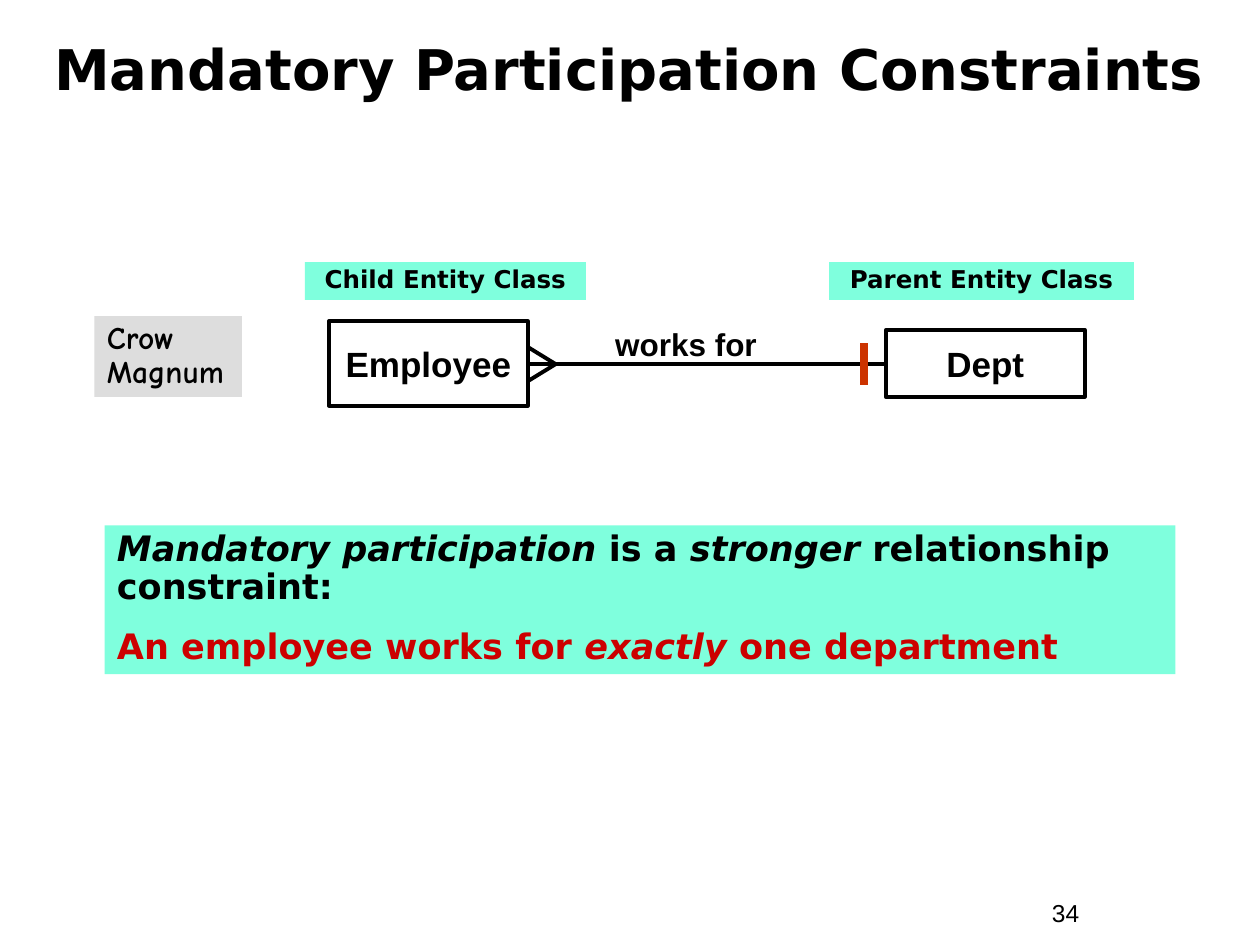
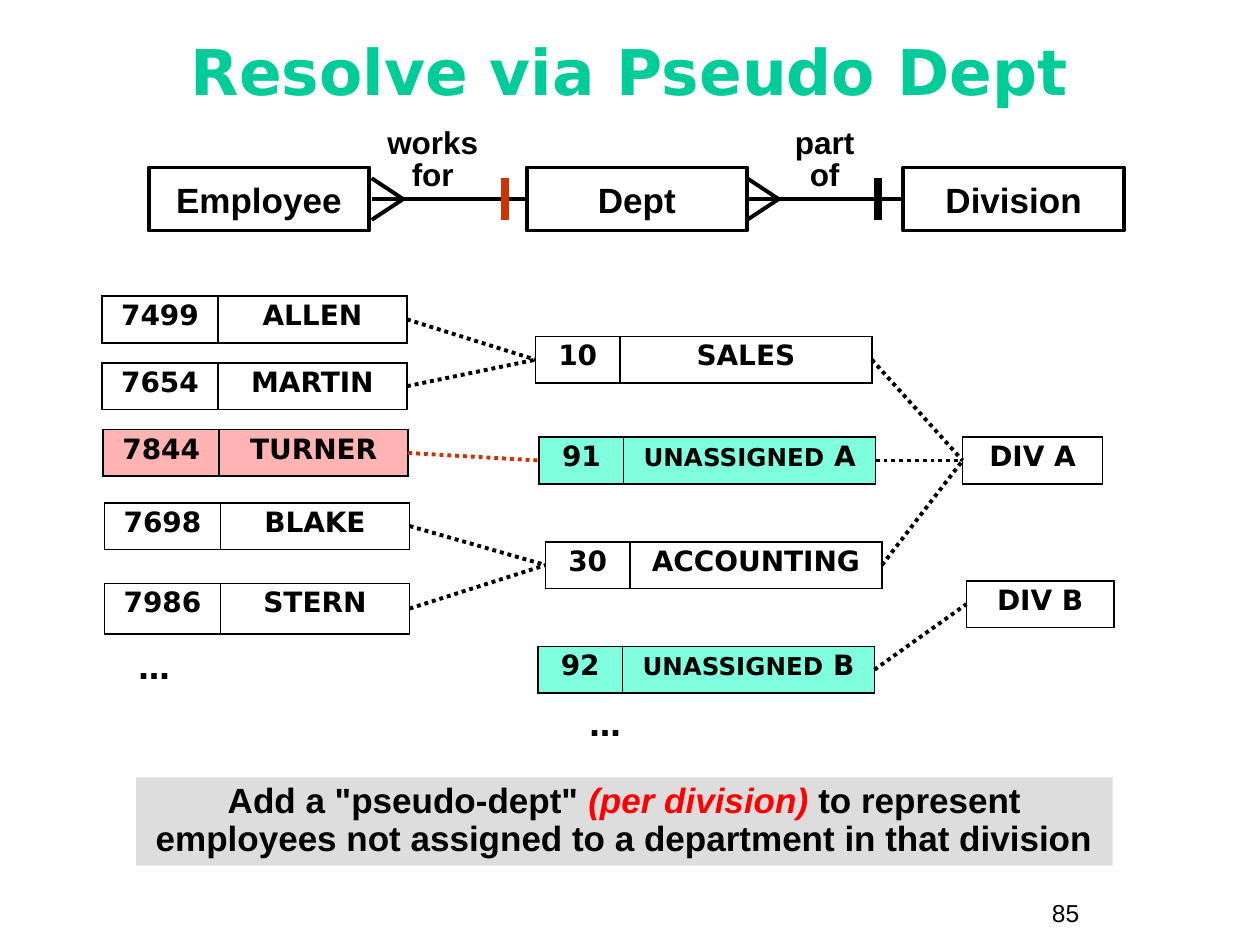
from dataclasses import dataclass
from typing import NamedTuple

from lxml import etree
from pptx import Presentation
from pptx.dml.color import RGBColor
from pptx.enum.dml import MSO_LINE
from pptx.enum.shapes import MSO_CONNECTOR, MSO_SHAPE
from pptx.enum.text import MSO_ANCHOR, PP_ALIGN
from pptx.oxml.ns import qn
from pptx.util import Inches, Pt

LEFT, CENTER = PP_ALIGN.LEFT, PP_ALIGN.CENTER
TOP, MIDDLE = MSO_ANCHOR.TOP, MSO_ANCHOR.MIDDLE
STRAIGHT = MSO_CONNECTOR.STRAIGHT
RECTANGLE = MSO_SHAPE.RECTANGLE
DOTTED = MSO_LINE.ROUND_DOT

BLACK = "000000"
AQUA = "7FFFDD"
GREY = "DDDDDD"
PINK = "FFB3B3"
GREEN = "00CC99"
RUST = "CC3300"
CRIMSON = "CC0000"
RED = "FF0000"

SANS = "Arial"
WIDE = "DejaVu Sans"
COMIC = "Comic Neue"

LINE_WIDTH = 2.25
BAR_WIDTH = 4.5
BAR_REACH = 0.165
CELL_BORDER = 1.08


class Area(NamedTuple):
    left: float
    top: float
    width: float
    height: float


class Point(NamedTuple):
    x: float
    y: float


@dataclass(frozen=True)
class Span:
    text: str
    color: str = BLACK
    italic: bool = False
    size: float | None = None


@dataclass(frozen=True)
class Style:
    font: str
    size: float
    bold: bool = True
    align: PP_ALIGN = CENTER
    line_spacing: float = 1.0
    gap: float = 0


@dataclass(frozen=True)
class Entity:
    name: str
    area: Area


@dataclass(frozen=True)
class Relation:
    foot: float
    tip: float
    end: float
    y: float
    spread: float
    bar: float
    bar_color: str


@dataclass(frozen=True)
class Record:
    left: float
    top: float
    widths: tuple[float, ...]
    cells: tuple[list[Span], ...]
    fill: str | None = None
    height: float = 0.37

    @property
    def entry(self) -> Point:
        return Point(self.left, self.top + self.height / 2)

    @property
    def exit(self) -> Point:
        return Point(self.left + sum(self.widths), self.entry.y)


PAGE_NUMBER = Style(SANS, 14, bold=False, align=LEFT)
ENTITY_NAME = Style(SANS, 20)
RELATION_NAME = Style(SANS, 18, line_spacing=0.85)
ROLE = Style(WIDE, 14, line_spacing=0.85)
NOTATION = Style(COMIC, 18, align=LEFT, line_spacing=0.9)
RULE = Style(WIDE, 20, align=LEFT, line_spacing=0.9, gap=12.5)
CELL = Style(WIDE, 16, line_spacing=0.9)
ELLIPSIS = Style(WIDE, 18, align=LEFT, line_spacing=0.9)
ADVICE = Style(SANS, 20, line_spacing=0.9)


def color_of(value: str) -> RGBColor:
    return RGBColor.from_string(value)


def write(frame, paragraphs: list[list[Span]], style: Style) -> None:
    for index, spans in enumerate(paragraphs):
        para = frame.add_paragraph() if index else frame.paragraphs[0]
        para.alignment = style.align
        para.line_spacing = style.line_spacing
        if index:
            para.space_before = Pt(style.gap)
        for span in spans:
            for row, words in enumerate(span.text.split("\n")):
                if row:
                    para.add_line_break()
                run = para.add_run()
                run.text = words
                run.font.name = style.font
                run.font.size = Pt(span.size or style.size)
                run.font.bold = style.bold
                run.font.italic = span.italic
                run.font.color.rgb = color_of(span.color)


def add_text(page, area: Area, text: str, style: Style,
             color: str = BLACK, anchor: MSO_ANCHOR = TOP) -> None:
    box = page.shapes.add_textbox(*map(Inches, area))
    box.text_frame.word_wrap = True
    box.text_frame.vertical_anchor = anchor
    write(box.text_frame, [[Span(text, color)]], style)


def add_box(page, area: Area, paragraphs: list[list[Span]], style: Style,
            fill: str | None = None) -> None:
    box = page.shapes.add_shape(RECTANGLE, *map(Inches, area))
    box.shadow.inherit = False
    if fill:
        box.fill.solid()
        box.fill.fore_color.rgb = color_of(fill)
        box.line.fill.background()
    else:
        box.fill.background()
        box.line.color.rgb = color_of(BLACK)
        box.line.width = Pt(LINE_WIDTH)
    box.text_frame.word_wrap = fill is not None
    box.text_frame.vertical_anchor = TOP if fill else MIDDLE
    write(box.text_frame, paragraphs, style)


def add_line(page, start: Point, end: Point, color: str = BLACK,
             width: float = LINE_WIDTH, dash: MSO_LINE | None = None) -> None:
    line = page.shapes.add_connector(STRAIGHT, *map(Inches, (*start, *end)))
    line.line.color.rgb = color_of(color)
    line.line.width = Pt(width)
    if dash:
        line.line.dash_style = dash
    etree.SubElement(line._element.spPr, qn("a:effectLst"))


def add_relation(page, relation: Relation) -> None:
    y = relation.y
    tip = Point(relation.tip, y)
    add_line(page, Point(relation.foot, y), Point(relation.end, y))
    for toe in (y - relation.spread, y + relation.spread):
        add_line(page, tip, Point(relation.foot, toe))
    add_line(page, Point(relation.bar, y - BAR_REACH),
             Point(relation.bar, y + BAR_REACH), relation.bar_color, BAR_WIDTH)


def add_borders(cell) -> None:
    properties = cell._tc.get_or_add_tcPr()
    for index, side in enumerate(("a:lnL", "a:lnR", "a:lnT", "a:lnB")):
        border = etree.Element(qn(side), w=str(int(Pt(CELL_BORDER))))
        fill = etree.SubElement(border, qn("a:solidFill"))
        etree.SubElement(fill, qn("a:srgbClr"), val=BLACK)
        properties.insert(index, border)


def add_record(page, record: Record) -> None:
    area = Area(record.left, record.top, sum(record.widths), record.height)
    table = page.shapes.add_table(1, len(record.cells), *map(Inches, area)).table
    table.first_row = False
    table.horz_banding = False
    for index, (width, spans) in enumerate(zip(record.widths, record.cells)):
        table.columns[index].width = Inches(width)
        cell = table.cell(0, index)
        if record.fill:
            cell.fill.solid()
            cell.fill.fore_color.rgb = color_of(record.fill)
        else:
            cell.fill.background()
        add_borders(cell)
        write(cell.text_frame, [spans], CELL)


def add_page(deck, title: str, area: Area, size: float, color: str, number: int):
    page = deck.slides.add_slide(deck.slide_layouts[6])
    add_text(page, Area(8.25, 7.08, 0.92, 0.34), str(number), PAGE_NUMBER)
    add_text(page, area, title, Style(WIDE, size), color, MIDDLE)
    return page


def add_entities(page, entities: list[Entity]) -> None:
    for entity in entities:
        add_box(page, entity.area, [[Span(entity.name)]], ENTITY_NAME)


def employee(left: float, top: float, number: str, name: str,
             fill: str | None = None, height: float = 0.37) -> Record:
    return Record(left, top, (0.92, 1.5), ([Span(number)], [Span(name)]), fill, height)


def department(left: float, top: float, number: str, name: list[Span],
               fill: str | None = None) -> Record:
    return Record(left, top, (0.67, 2), ([Span(number)], name), fill)


def unassigned(left: float, top: float, number: str, division: str) -> Record:
    name = [Span("UNASSIGNED", size=14), Span(f" {division}")]
    return department(left, top, number, name, AQUA)


def build_participation(deck) -> None:
    page = add_page(deck, "Mandatory Participation Constraints",
                    Area(0.33, 0.08, 9.33, 0.92), 32, BLACK, 34)
    add_entities(page, [Entity("Dept", Area(7.03, 2.62, 1.58, 0.53)),
                        Entity("Employee", Area(2.61, 2.55, 1.58, 0.67))])
    add_relation(page, Relation(4.19, 4.41, 7.03, 2.89, 0.135, 6.86, RUST))
    add_text(page, Area(4.61, 2.53, 1.67, 0.4), "works for", Style(SANS, 18))
    for role, left, width in (("Child", 2.42, 2.23), ("Parent", 6.58, 2.42)):
        add_box(page, Area(left, 2.08, width, 0.3),
                [[Span(f"{role} Entity Class")]], ROLE, AQUA)
    add_box(page, Area(0.75, 2.51, 1.17, 0.64), [[Span("Crow\nMagnum")]], NOTATION, GREY)
    add_box(page, Area(0.83, 4.17, 8.5, 1.18), [
        [Span("Mandatory participation", italic=True), Span(" is a "),
         Span("stronger", italic=True), Span(" relationship constraint:")],
        [Span("An employee works for ", CRIMSON), Span("exactly", CRIMSON, True),
         Span(" one department", CRIMSON)],
    ], RULE, AQUA)


def build_pseudo_dept(deck) -> None:
    page = add_page(deck, "Resolve via Pseudo Dept",
                    Area(0.33, 0.14, 9.33, 0.83), 36, GREEN, 85)
    add_entities(page, [Entity(name, Area(left, 1.33, 1.75, 0.5)) for name, left in
                        (("Employee", 1.18), ("Dept", 4.18), ("Division", 7.17))])
    for text, left in (("works\nfor", 2.6), ("part\nof", 5.71)):
        add_text(page, Area(left, 0.97, 1.67, 0.61), text, RELATION_NAME)
    add_relation(page, Relation(2.95, 3.2, 4.17, 1.58, 0.165, 4.01, RUST))
    add_relation(page, Relation(5.93, 6.18, 7.15, 1.58, 0.165, 6.97, BLACK))

    allen = employee(0.81, 2.35, "7499", "ALLEN")
    martin = employee(0.81, 2.88, "7654", "MARTIN")
    turner = employee(0.82, 3.41, "7844", "TURNER", PINK)
    blake = employee(0.83, 3.99, "7698", "BLAKE")
    stern = employee(0.83, 4.63, "7986", "STERN", height=0.4)
    sales = department(4.25, 2.67, "10", [Span("SALES")])
    unassigned_a = unassigned(4.28, 3.47, "91", "A")
    accounting = department(4.33, 4.3, "30", [Span("ACCOUNTING")])
    unassigned_b = unassigned(4.27, 5.13, "92", "B")
    division_a = Record(7.64, 3.47, (1.11,), ([Span("DIV A")],))
    division_b = Record(7.67, 4.61, (1.17,), ([Span("DIV B")],))

    for record in (allen, martin, turner, blake, stern, sales, unassigned_a,
                   accounting, unassigned_b, division_a, division_b):
        add_record(page, record)
    for child, parent in ((allen, sales), (martin, sales), (turner, unassigned_a),
                          (blake, accounting), (stern, accounting),
                          (sales, division_a), (unassigned_a, division_a),
                          (accounting, division_a), (unassigned_b, division_b)):
        color = RUST if child is turner else BLACK
        add_line(page, child.exit, parent.entry, color, dash=DOTTED)

    for left, top in ((1, 5.13), (4.58, 5.58)):
        add_text(page, Area(left, top, 1.83, 0.37), "…", ELLIPSIS)
    add_box(page, Area(1.08, 6.17, 7.75, 0.7), [[
        Span('Add a "pseudo-dept" '), Span("(per division) ", RED, True),
        Span("to represent employees not assigned to a department in that division"),
    ]], ADVICE, GREY)


def main() -> None:
    deck = Presentation()
    deck.slide_width = Inches(10)
    deck.slide_height = Inches(7.5)
    build_participation(deck)
    build_pseudo_dept(deck)
    deck.save("out.pptx")


if __name__ == "__main__":
    main()
